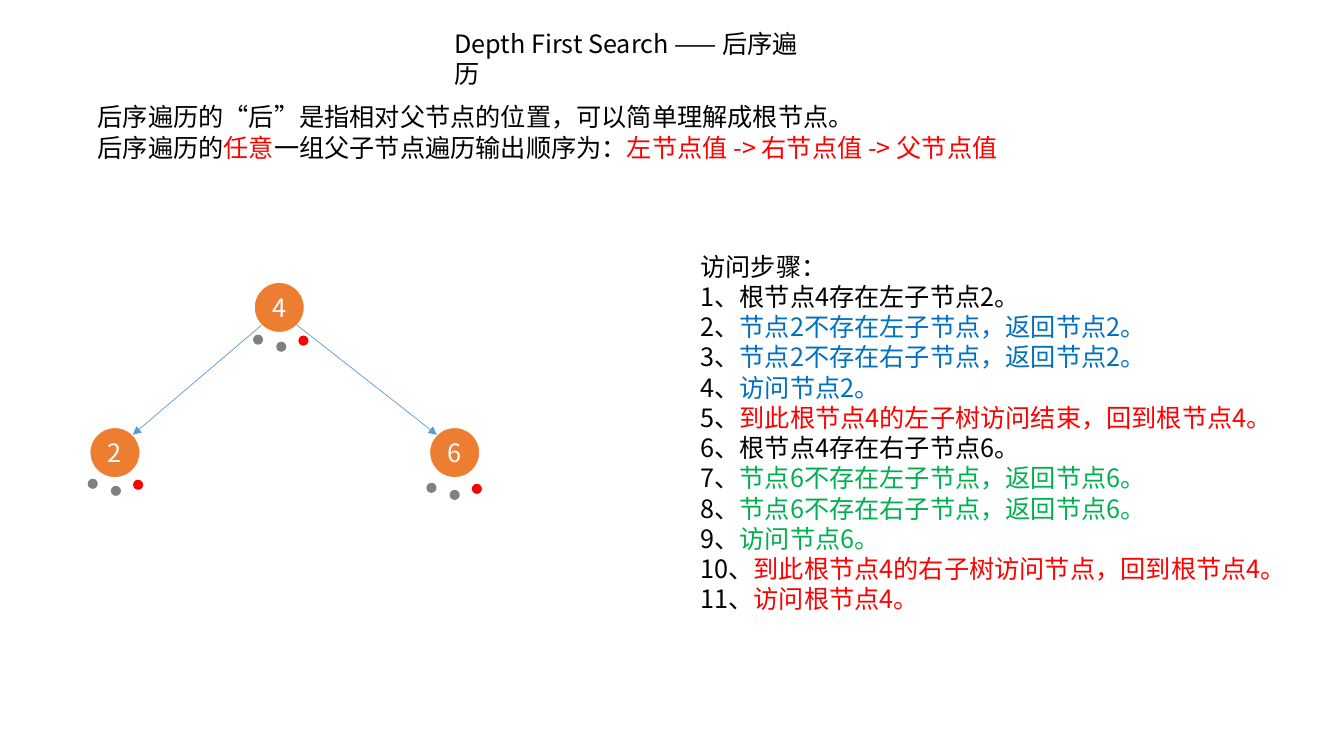
from math import sqrt
from lxml.etree import SubElement
from pptx import Presentation
from pptx.dml.color import RGBColor
from pptx.enum.shapes import MSO_CONNECTOR as Connector, MSO_SHAPE as Preset
from pptx.enum.text import MSO_ANCHOR as Anchor, PP_ALIGN as Align
from pptx.oxml.ns import qn
from pptx.util import Inches, Pt

COLORS = {"black": "000000", "white": "FFFFFF", "red": "FF0000", "blue": "0070C0",
          "green": "00B050", "gray": "808080", "orange": "ED7D31", "edge": "5B9BD5"}
FONT = "Noto Sans CJK SC"

deck = Presentation()
deck.slide_width, deck.slide_height = Inches(13.33), Inches(7.5)
page = deck.slides.add_slide(deck.slide_layouts[6])
column, row = deck.slide_width / 1333, deck.slide_height / 750


def add_circle(left, top, size, color):
    circle = page.shapes.add_shape(Preset.FLOWCHART_CONNECTOR, round(left * column),
                                   round(top * row), round(size * column), round(size * row))
    circle.shadow.inherit = False
    circle.fill.solid()
    circle.fill.fore_color.rgb = RGBColor.from_string(COLORS[color])
    circle.line.fill.background()
    return circle


def add_span(para, text, color):
    span = para.add_run()
    span.text = text
    for name, value in {"name": FONT, "size": Pt(18)}.items():
        setattr(span.font, name, value)
    span.font.color.rgb = RGBColor.from_string(COLORS[color])
    SubElement(span.font._element, qn("a:ea")).set("typeface", FONT)


NODE, DOT = 50, 10
nodes = {"4": (252, 280), "6": (426, 424), "2": (89, 424)}
dot_origins = {"4": (251, 332), "6": (423, 479), "2": (87, 475)}
dots = [(45, 1, "red"), (23, 7, "gray"), (0, 0, "gray")]

for label, (left, top) in nodes.items():
    circle = add_circle(left, top, NODE, "orange")
    circle.line.color.rgb = RGBColor.from_string(COLORS["white"])
    circle.line.width = Pt(1)
    frame = circle.text_frame
    layout = {"margin_left": 0, "margin_right": 0, "margin_top": 0, "margin_bottom": 0,
              "vertical_anchor": Anchor.MIDDLE, "word_wrap": False}
    for name, value in layout.items():
        setattr(frame, name, value)
    frame.paragraphs[0].alignment = Align.CENTER
    add_span(frame.paragraphs[0], label, "white")

reach = NODE / 2 / sqrt(2)
root_x, root_y = (value + NODE / 2 for value in nodes["4"])
for child, side in (("2", -1), ("6", 1)):
    child_x, child_y = (value + NODE / 2 for value in nodes[child])
    edge = page.shapes.add_connector(
        Connector.STRAIGHT,
        round((root_x + side * reach) * column), round((root_y + reach) * row),
        round((child_x - side * reach) * column), round((child_y - reach) * row))
    edge.line.color.rgb = RGBColor.from_string(COLORS["edge"])
    edge.line.width = Pt(0.5)
    SubElement(edge.line._get_or_add_ln(), qn("a:tailEnd")).set("type", "triangle")
    SubElement(edge._element.spPr, qn("a:effectLst"))

for left, top in dot_origins.values():
    for across, down, color in dots:
        add_circle(left + across, top + down, DOT, color)

title = [[("Depth First Search —— 后序遍历", "black")]]
summary = [
    [("后序遍历的“后”是指相对父节点的位置，可以简单理解成根节点。", "black")],
    [("后序遍历的", "black"), ("任意", "red"), ("一组父子节点遍历输出顺序为：", "black"),
     ("左节点值 -> 右节点值 -> 父节点值", "red")],
]
visits = [
    ("根节点4存在左子节点2。", "black"),
    ("节点2不存在左子节点，返回节点2。", "blue"),
    ("节点2不存在右子节点，返回节点2。", "blue"),
    ("访问节点2。", "blue"),
    ("到此根节点4的左子树访问结束，回到根节点4。", "red"),
    ("根节点4存在右子节点6。", "black"),
    ("节点6不存在左子节点，返回节点6。", "green"),
    ("节点6不存在右子节点，返回节点6。", "green"),
    ("访问节点6。", "green"),
    ("到此根节点4的右子树访问节点，回到根节点4。", "red"),
    ("访问根节点4。", "red"),
]
steps = [[("访问步骤：", "black")]]
steps += [[(f"{number}、", "black"), visit] for number, visit in enumerate(visits, 1)]

for left, top, width, height, lines in [(441, 23, 383, 40, title),
                                        (87, 96, 933, 71, summary),
                                        (685, 244, 604, 374, steps)]:
    box = page.shapes.add_textbox(round(left * column), round(top * row),
                                  round(width * column), round(height * row))
    frame = box.text_frame
    frame.word_wrap = True
    for index, line in enumerate(lines):
        para = frame.add_paragraph() if index else frame.paragraphs[0]
        para.line_spacing = Pt(21.6)
        for text, color in line:
            add_span(para, text, color)

deck.save("out.pptx")
